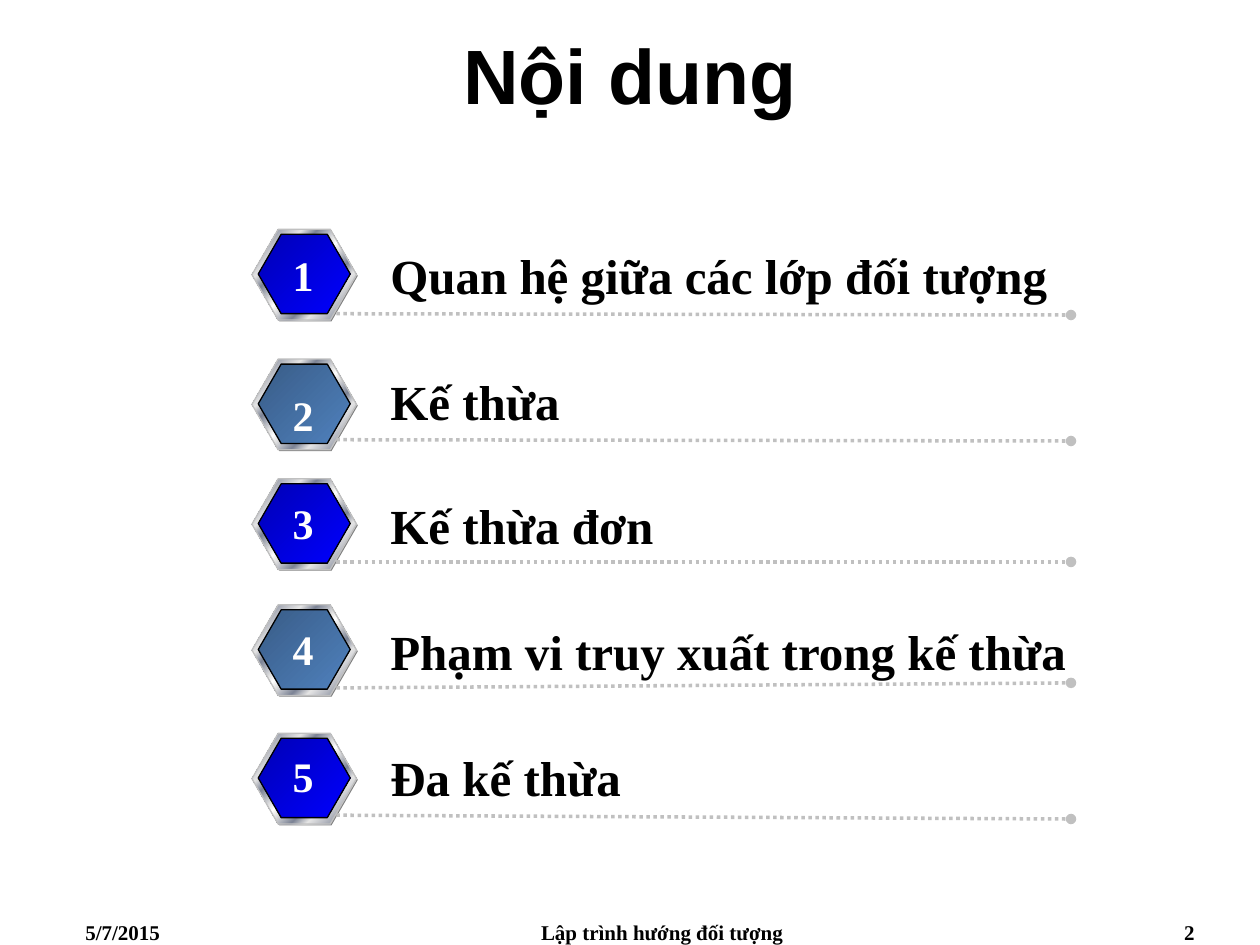
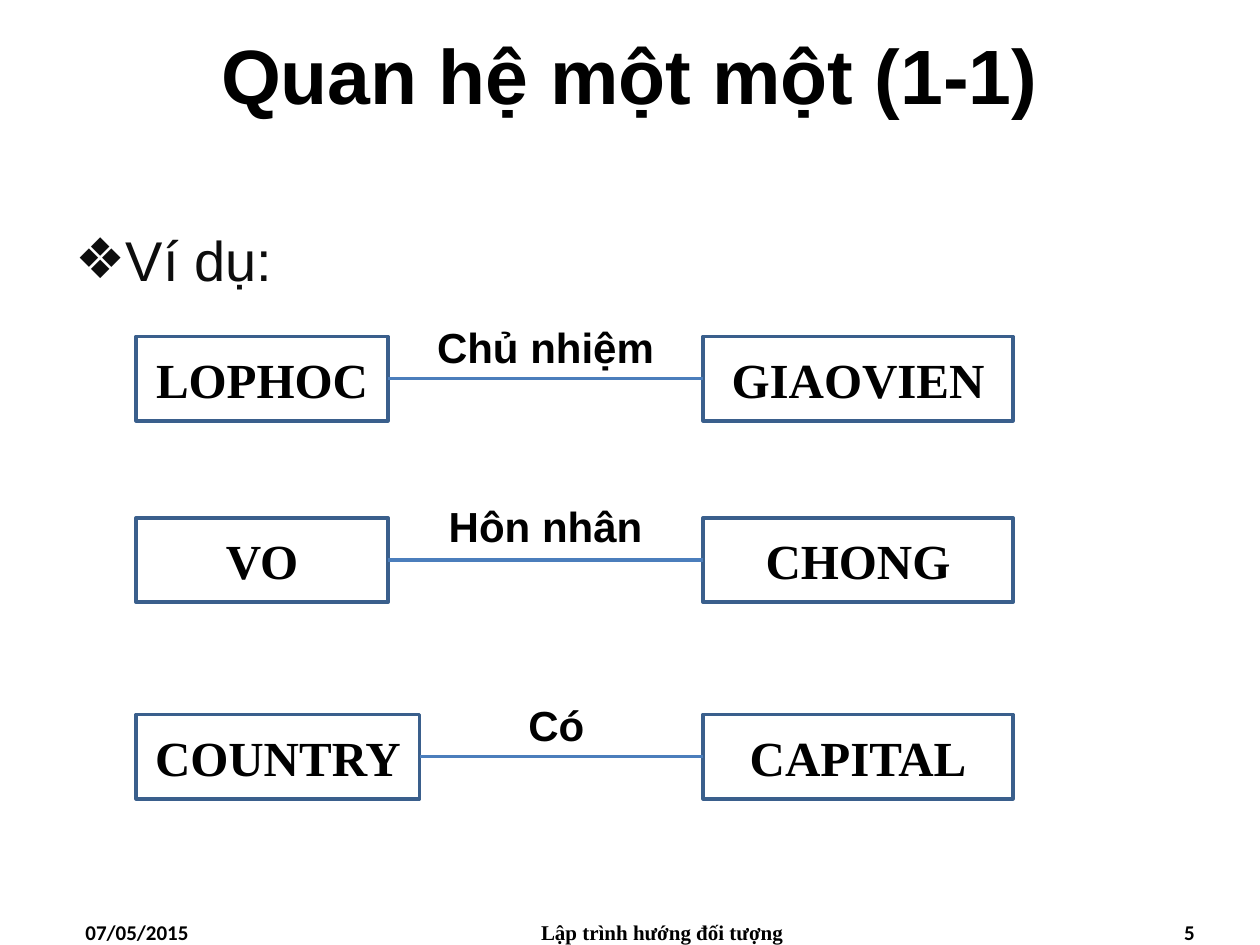
from lxml import etree
from pptx import Presentation
from pptx.dml.color import RGBColor
from pptx.enum.dml import MSO_LINE
from pptx.enum.shapes import MSO_CONNECTOR, MSO_SHAPE
from pptx.enum.text import MSO_ANCHOR, PP_ALIGN
from pptx.oxml.ns import qn
from pptx.util import Inches, Pt

LEFT, CENTER, RIGHT = PP_ALIGN.LEFT, PP_ALIGN.CENTER, PP_ALIGN.RIGHT
JUSTIFY = PP_ALIGN.JUSTIFY
TOP, MIDDLE = MSO_ANCHOR.TOP, MSO_ANCHOR.MIDDLE
STRAIGHT, DOTTED = MSO_CONNECTOR.STRAIGHT, MSO_LINE.ROUND_DOT
HEXAGON, RECTANGLE = MSO_SHAPE.HEXAGON, MSO_SHAPE.RECTANGLE
TITLE_AND_CONTENT, TITLE_ONLY = 1, 5
RIGHT_SIDE, LEFT_SIDE = 3, 1

SERIF, SANS, HUMANIST = "Times New Roman", "Arial", "Calibri"
BLACK, WHITE, SILVER, GRAY = "000000", "FFFFFF", "C0C0C0", "808080"
BODY_COLOR, BOX_LINE, LINK_LINE = "0D0D0D", "3A5F8C", "4B7EBC"
BLUE = [(0, "0000B6"), (100, "0000FF")]
STEEL = [(0, "395C87"), (100, "4F81BD")]
METAL = [(0, "E6E6E6"), (7, "7D8496"), (26, "E6E6E6"), (34, "7D8496"),
         (46, "E6E6E6"), (50, "FFFFFF"), (54, "E6E6E6"), (66, "7D8496"),
         (74, "E6E6E6"), (93, "7D8496"), (100, "E6E6E6")]

COURSE = "Lập trình hướng đối tượng"
CONTENTS_TITLE = "Nội dung"
CONTENTS = [
    dict(text="Quan hệ giữa các lớp đối tượng", top=1.82, text_top=1.9,
         number_top=1.93, width=5.5, rule=(2.49, 2.5)),
    dict(text="Kế thừa", top=2.85, text_top=2.9,
         number_top=3.04, width=4.92, rule=(3.49, 3.5)),
    dict(text="Kế thừa đơn", top=3.8, text_top=3.88,
         number_top=3.9, width=4.92, rule=(4.46, 4.46)),
    dict(text="Phạm vi truy xuất trong kế thừa", top=4.8, text_top=4.88,
         number_top=4.9, width=5.83, rule=(5.46, 5.42)),
    dict(text="Đa kế thừa", top=5.82, text_top=5.88,
         number_top=5.91, width=4.92, rule=(6.47, 6.5)),
]
RELATION_TITLE = "Quan hệ một một (1-1)"
RELATION_INTRO = "Ví dụ:"
RELATIONS = [
    dict(names=("LOPHOC", "GIAOVIEN"), label="Chủ nhiệm",
         top=2.67, label_top=2.5, width=2, label_at=(3.33, 2)),
    dict(names=("VO", "CHONG"), label="Hôn nhân",
         top=4.11, label_top=3.92, width=2, label_at=(3.33, 2)),
    dict(names=("COUNTRY", "CAPITAL"), label="Có",
         top=5.67, label_top=5.5, width=2.25, label_at=(3.5, 1.83)),
]


def color(value):
    return RGBColor.from_string(value)


def write(shape, text, size=28, font=SERIF, ink=BLACK, bold=True,
          align=LEFT, anchor=TOP, wrap=True):
    frame = shape.text_frame
    frame.word_wrap = wrap
    frame.vertical_anchor = anchor
    para = frame.paragraphs[0]
    para.alignment = align
    span = para.add_run()
    span.text = text
    span.font.size = Pt(size)
    span.font.name = font
    span.font.bold = bold
    span.font.color.rgb = color(ink)
    return para


def place(shape, left, top, width, height):
    shape.left, shape.top = Inches(left), Inches(top)
    shape.width, shape.height = Inches(width), Inches(height)


def add_text(page, text, left, top, width, height, **style):
    box = page.shapes.add_textbox(
        Inches(left), Inches(top), Inches(width), Inches(height))
    write(box, text, **style)


def set_line(shape, ink, width):
    shape.line.color.rgb = color(ink)
    shape.line.width = Pt(width)


def add_outline(page, kind, left, top, width, height, line=None, weight=0.75):
    shape = page.shapes.add_shape(
        kind, Inches(left), Inches(top), Inches(width), Inches(height))
    shape.shadow.inherit = False
    shape.fill.background()
    if line:
        set_line(shape, line, weight)
    else:
        shape.line.fill.background()
    return shape


def fill_gradient(shape, stops):
    shape.fill.gradient()
    shape.fill.gradient_angle = 315
    stop_list = shape._element.spPr.find(qn("a:gradFill")).find(qn("a:gsLst"))
    for stop in list(stop_list):
        stop_list.remove(stop)
    for position, ink in stops:
        stop = etree.SubElement(stop_list, qn("a:gs"), pos=str(position * 1000))
        etree.SubElement(stop, qn("a:srgbClr"), val=ink)


def add_line(page, start, end, ink):
    line = page.shapes.add_connector(
        STRAIGHT, *(Inches(value) for value in start + end))
    set_line(line, ink, 2)
    etree.SubElement(line._element.spPr, qn("a:effectLst"))
    return line


def add_page(deck, layout, title, date, number, font):
    page = deck.slides.add_slide(deck.slide_layouts[layout])
    place(page.shapes.title, 0, 0, 10, 1.17)
    write(page.shapes.title, title, size=44, font=SANS,
          align=CENTER, anchor=MIDDLE)
    footers = [(date, 0.58, 2.33, LEFT, font),
               (COURSE, 3.67, 3.17, CENTER, SERIF),
               (number, 7.25, 2.33, RIGHT, font)]
    for text, left, width, align, face in footers:
        add_text(page, text, left, 7.25, width, 0.25,
                 size=12, font=face, align=align)
    return page


def add_badge(page, top, stops):
    shade = add_outline(page, HEXAGON, 2.01, top + 0.01, 0.83, 0.72)
    shade.fill.solid()
    shade.fill.fore_color.rgb = color(GRAY)
    rim = add_outline(page, HEXAGON, 2, top, 0.83, 0.72, line=SILVER)
    fill_gradient(rim, METAL)
    face = add_outline(page, HEXAGON, 2.05, top + 0.04, 0.73, 0.63, line=BLACK)
    fill_gradient(face, stops)
    for hexagon in (shade, rim, face):
        hexagon.adjustments[0] = 0.289


def build_contents(deck):
    page = add_page(deck, TITLE_ONLY, CONTENTS_TITLE, "5/7/2015", "2", SERIF)
    for number, item in enumerate(CONTENTS, start=1):
        add_badge(page, item["top"], BLUE if number % 2 else STEEL)
        start, end = item["rule"]
        rule = add_line(page, (2.67, start), (8.5, end), SILVER)
        rule.line.dash_style = DOTTED
        etree.SubElement(rule.line._get_or_add_ln(), qn("a:tailEnd"), type="oval")
        add_text(page, item["text"], 3, item["text_top"], item["width"], 0.57)
        add_text(page, str(number), 2.22, item["number_top"], 0.37, 0.5,
                 size=24, ink=WHITE, align=CENTER, wrap=False)


def add_intro(page):
    body = page.placeholders[1]
    place(body, 0.5, 1.58, 9.17, 5.39)
    para = write(body, RELATION_INTRO, size=32, font=SANS, ink=BODY_COLOR,
                 bold=False, align=JUSTIFY)
    para.line_spacing = 1.3
    para.space_before = Pt(0)
    para.space_after = Pt(3)
    properties = para._p.get_or_add_pPr()
    properties.set("marL", str(Inches(0.38)))
    properties.set("indent", str(Inches(-0.38)))
    etree.SubElement(properties, qn("a:buFont"), typeface=SANS)
    etree.SubElement(properties, qn("a:buChar"), char="❖")


def build_relations(deck):
    page = add_page(deck, TITLE_AND_CONTENT, RELATION_TITLE,
                    "07/05/2015", "5", HUMANIST)
    add_intro(page)
    for relation in RELATIONS:
        top = relation["top"]
        columns = [(1.08, relation["width"]), (5.58, 2.46)]
        boxes = []
        for name, (left, width) in zip(relation["names"], columns):
            box = add_outline(page, RECTANGLE, left, top, width, 0.67,
                              line=BOX_LINE, weight=2)
            write(box, name, align=CENTER, anchor=MIDDLE)
            boxes.append(box)
        middle = top + 0.33
        link = add_line(page, (1.08 + relation["width"], middle),
                        (5.58, middle), LINK_LINE)
        link.begin_connect(boxes[0], RIGHT_SIDE)
        link.end_connect(boxes[1], LEFT_SIDE)
        left, width = relation["label_at"]
        add_text(page, relation["label"], left, relation["label_top"],
                 width, 0.5, size=24, font=SANS, align=CENTER)


def main():
    deck = Presentation()
    deck.slide_width, deck.slide_height = Inches(10), Inches(7.5)
    build_contents(deck)
    build_relations(deck)
    deck.save("out.pptx")


if __name__ == "__main__":
    main()
